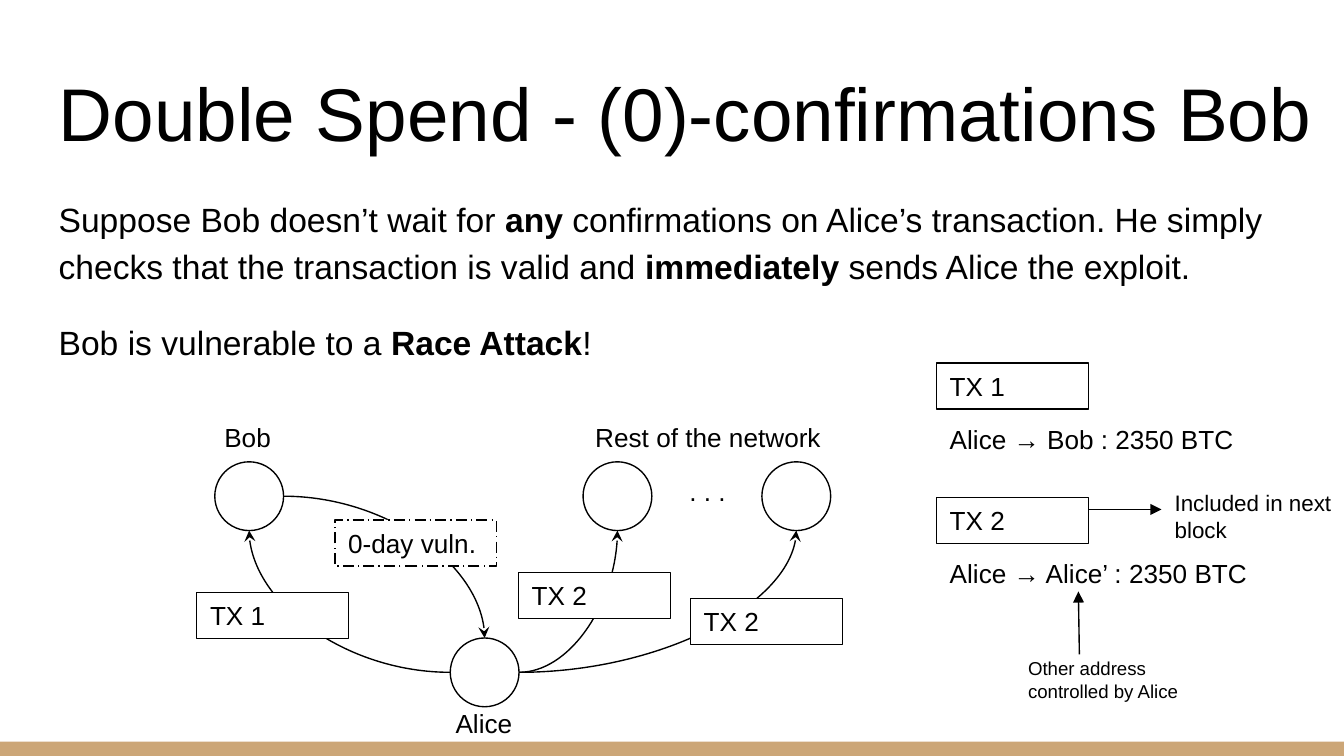
"""Build the slide on the race attack against a zero-confirmation seller."""
import pptx
import pptx.dml.color
import pptx.enum.dml
import pptx.enum.shapes
import pptx.enum.text
import pptx.oxml.ns
import pptx.util
from lxml import etree
from pptx.util import Cm

BLACK = pptx.dml.color.RGBColor(0x00, 0x00, 0x00)
WHITE = pptx.dml.color.RGBColor(0xFF, 0xFF, 0xFF)
TAN = pptx.dml.color.RGBColor(0xCC, 0xA6, 0x77)

ANCHOR = pptx.enum.text.MSO_ANCHOR
SHAPE = pptx.enum.shapes.MSO_SHAPE
CONNECTOR = pptx.enum.shapes.MSO_CONNECTOR
DASH = pptx.enum.dml.MSO_LINE

RADIUS = 0.65
BOX_W, BOX_H = 2.87, 0.87
LABEL_H = 1.3
NODE_Y = 9.38
BOB = (4.71, NODE_Y)
FIRST_PEER = (11.67, NODE_Y)
LAST_PEER = (15.05, NODE_Y)
ALICE = (9.16, 12.71)
LEGEND_X = 17.7


def write(sp, text, size=14, anchor=ANCHOR.TOP, line_spacing=None, gap=0):
    """Fill a shape with paragraphs split on newlines, with **bold** spans."""
    tf = sp.text_frame
    tf.word_wrap = True
    tf.vertical_anchor = anchor
    tf.margin_left = tf.margin_right = Cm(0.25)
    tf.margin_top = tf.margin_bottom = Cm(0.25)
    for i, line in enumerate(text.split("\n")):
        p = tf.add_paragraph() if i else tf.paragraphs[0]
        p.alignment = pptx.enum.text.PP_ALIGN.LEFT
        if line_spacing:
            p.line_spacing = line_spacing
        if i:
            p.space_before = pptx.util.Pt(gap)
        for j, part in enumerate(line.split("**")):
            r = p.add_run()
            r.text = part
            r.font.name = "Arial"
            r.font.size = pptx.util.Pt(size)
            r.font.color.rgb = BLACK
            r.font.bold = j % 2 == 1


def add_text(s, text, x, y, w, h=LABEL_H, **style):
    """Add a text box."""
    write(s.shapes.add_textbox(Cm(x), Cm(y), Cm(w), Cm(h)), text, **style)


def add_shape(s, kind, x, y, w, h, fill=None, outlined=True):
    """Add a flat shape with an optional fill and thin black outline."""
    sp = s.shapes.add_shape(kind, Cm(x), Cm(y), Cm(w), Cm(h))
    sp.shadow.inherit = False
    if fill is None:
        sp.fill.background()
    else:
        sp.fill.solid()
        sp.fill.fore_color.rgb = fill
    if outlined:
        sp.line.color.rgb = BLACK
        sp.line.width = pptx.util.Pt(0.75)
    else:
        sp.line.fill.background()
    return sp


def add_node(s, center):
    """Add a network participant as an empty circle."""
    x, y = center
    add_shape(s, SHAPE.OVAL, x - RADIUS, y - RADIUS, 2 * RADIUS, 2 * RADIUS)


def add_box(s, text, x, y, w=BOX_W, dash=None):
    """Add a white labelled box for something being sent."""
    sp = add_shape(s, SHAPE.RECTANGLE, x, y, w, BOX_H, fill=WHITE)
    if dash is not None:
        sp.line.dash_style = dash
    write(sp, text, anchor=ANCHOR.MIDDLE)


def add_arrow(s, start, end, curved=False):
    """Add a straight arrow, or a quarter curve leaving sideways."""
    kind = CONNECTOR.CURVE if curved else CONNECTOR.STRAIGHT
    cx = s.shapes.add_connector(kind, *(Cm(v) for v in start + end))
    cx.line.color.rgb = BLACK
    cx.line.width = pptx.util.Pt(0.75)
    qn = pptx.oxml.ns.qn
    sp_pr = cx._element.spPr
    if curved:
        sp_pr.find(qn("a:prstGeom")).set("prst", "curvedConnector2")
    head = etree.SubElement(sp_pr.find(qn("a:ln")), qn("a:tailEnd"))
    head.set("type", "stealth" if curved else "triangle")
    etree.SubElement(sp_pr, qn("a:effectLst"))


def side(center, dx=0, dy=0):
    """Return the point on a circle's edge in the given direction."""
    return center[0] + dx * RADIUS, center[1] + dy * RADIUS


def add_network(s):
    """Draw the participants and what travels between them."""
    for center in (BOB, FIRST_PEER, LAST_PEER, ALICE):
        add_node(s, center)
    for text, x, y, w in (
        ("Bob", 3.99, 7.72, 1.45),
        ("Rest of the network", 11, 7.72, 5.13),
        (". . .", 12.78, 8.74, 1.45),
        ("Alice", 8.36, 13.13, 1.7),
    ):
        add_text(s, text, x, y, w)
    add_arrow(s, side(ALICE, dx=-1), side(BOB, dy=1), curved=True)
    for peer in (FIRST_PEER, LAST_PEER):
        add_arrow(s, side(ALICE, dx=1), side(peer, dy=1), curved=True)
    add_arrow(s, side(BOB, dx=1), side(ALICE, dy=-1), curved=True)
    add_box(s, "TX 1", 3.72, 11.2)
    add_box(s, "TX 2", 9.8, 10.82)
    add_box(s, "TX 2", 13.05, 11.31)
    add_box(s, "0-day vuln.", 6.33, 9.83, w=3.05, dash=DASH.LONG_DASH_DOT)


def add_legend(s):
    """Explain the two conflicting transactions."""
    for name, transfer, y in (
        ("TX 1", "Alice → Bob : 2350 BTC", 6.86),
        ("TX 2", "Alice → Alice’ : 2350 BTC", 9.4),
    ):
        add_box(s, name, LEGEND_X, y)
        add_text(s, transfer, LEGEND_X, y + 0.89, 6.22)
    add_arrow(s, (20.4, 12.37), (20.38, 11.18))
    add_text(s, "Other address controlled by Alice", 19.18, 12.17, 3.81, size=10)
    add_arrow(s, (LEGEND_X + BOX_W, 9.63), (21.95, 9.63))
    add_text(s, "Included in next block", 21.95, 8.99, 4.39, size=12)


def main():
    """Build and save the presentation."""
    prs = pptx.Presentation()
    prs.slide_width, prs.slide_height = Cm(25.4), Cm(14.29)
    s = prs.slides.add_slide(prs.slide_layouts[6])
    add_shape(s, SHAPE.RECTANGLE, 0, 14.02, 25.4, 0.27, fill=TAN, outlined=False)
    add_text(s, "Double Spend - (0)-confirmations Bob", 0.86, 0.89, 24.54, 2.31,
             size=40, anchor=ANCHOR.BOTTOM)
    add_text(s, "Suppose Bob doesn’t wait for **any** confirmations on Alice’s "
             "transaction. He simply checks that the transaction is valid and "
             "**immediately** sends Alice the exploit.\n"
             "Bob is vulnerable to a **Race Attack**!",
             0.86, 3.4, 24.54, 3.68, size=18, line_spacing=1.15, gap=16)
    add_network(s)
    add_legend(s)
    prs.save("out.pptx")


if __name__ == "__main__":
    main()
